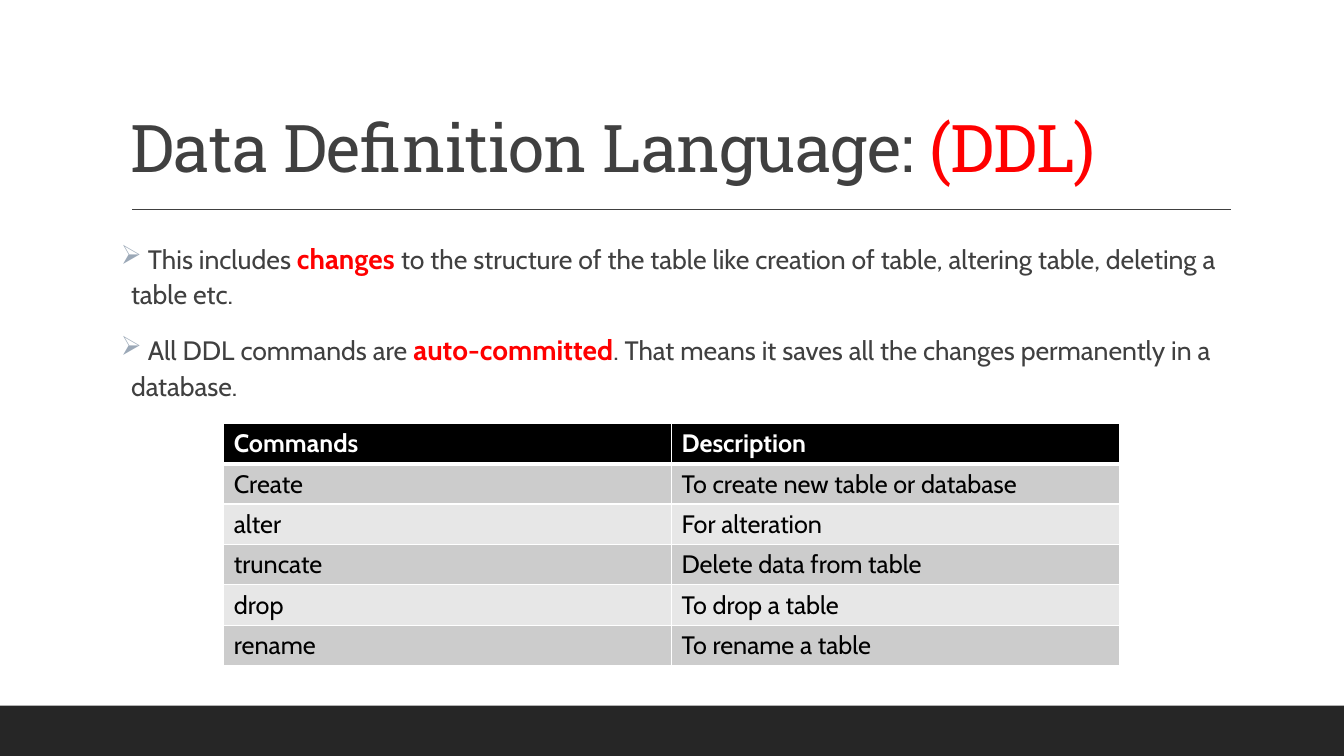
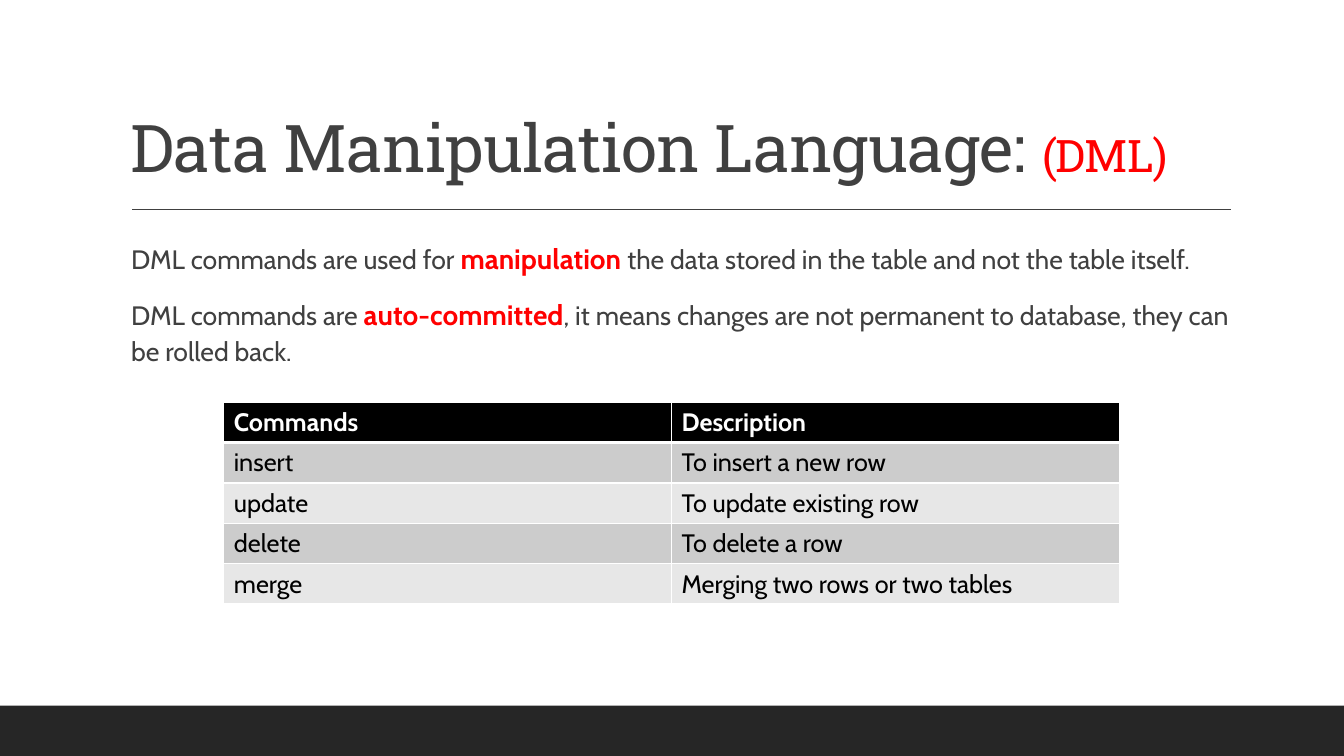
from dataclasses import dataclass

from lxml.etree import SubElement
from pptx import Presentation
from pptx.dml.color import RGBColor
from pptx.enum.shapes import MSO_CONNECTOR, MSO_SHAPE
from pptx.enum.text import MSO_ANCHOR
from pptx.oxml.ns import qn
from pptx.util import Inches, Pt

COLORS = {
    "band": "262626",
    "text": "404040",
    "accent": "FF0000",
    "bullet": "9BA8B7",
    "white": "FFFFFF",
    "black": "000000",
    "odd_row": "CCCCCC",
    "even_row": "E7E7E7",
}
TITLE_FONT, BODY_FONT = "Roboto Slab", "Cabin"
TITLE_SIZE, BODY_SIZE, ACCENT_SIZE, TABLE_SIZE = 47, 19, 20, 18
BOX_LEFT, BOX_WIDTH = 1.2, 11
TABLE_LEFT, COLUMN_WIDTH, ROW_HEIGHT = 2.22, 4.44, 0.4
HANGING = 0.1
HEADER = ("Commands", "Description")


@dataclass(frozen=True)
class Sentence:
    """A paragraph with one highlighted phrase."""
    before: str
    accent: str
    after: str


@dataclass(frozen=True)
class LanguageSlide:
    title: str
    acronym: str
    acronym_size: int
    bullet: str
    sentences: tuple[Sentence, ...]
    table_top: float
    commands: tuple[tuple[str, str], ...]


SLIDES = (
    LanguageSlide(
        "Data Definition Language: ", "(DDL)", TITLE_SIZE, "➢",
        (
            Sentence(" This includes ", "changes ",
                     "to the structure of the table like creation of table, "
                     "altering table, deleting a table etc."),
            Sentence(" All DDL commands are ", "auto-committed",
                     ". That means it saves all the changes permanently in a database."),
        ),
        4.2,
        (
            ("Create", "To create new table or database"),
            ("alter", "For alteration"),
            ("truncate", "Delete data from table"),
            ("drop", "To drop a table"),
            ("rename", "To rename a table"),
        ),
    ),
    LanguageSlide(
        "Data Manipulation Language: ", "(DML)", 32, "",
        (
            Sentence("DML commands are used for ", "manipulation",
                     " the data stored in the table and not the table itself."),
            Sentence("DML commands are ", "auto-committed",
                     ", it means changes are not permanent to database, "
                     "they can be rolled back."),
        ),
        3.99,
        (
            ("insert", "To insert a new row"),
            ("update", "To update existing row"),
            ("delete", "To delete a row"),
            ("merge", "Merging two rows or two tables"),
        ),
    ),
)


def rgb(name: str) -> RGBColor:
    return RGBColor.from_string(COLORS[name])


def add_color(parent, name: str) -> None:
    SubElement(parent, qn("a:srgbClr"), val=COLORS[name])


def add_run(p, text: str, font: str, size: int, color: str, bold: bool = False):
    r = p.add_run()
    r.text = text
    r.font.name = font
    r.font.size = Pt(size)
    r.font.color.rgb = rgb(color)
    r.font.bold = bold
    return r


def add_text_frame(s, top: float, height: float):
    sp = s.shapes.add_textbox(Inches(BOX_LEFT), Inches(top),
                              Inches(BOX_WIDTH), Inches(height))
    sp.text_frame.word_wrap = True
    return sp.text_frame


def add_frame(s, prs) -> None:
    """Bottom band and the rule under the title."""
    height = Inches(0.5)
    band = s.shapes.add_shape(MSO_SHAPE.RECTANGLE, 0, prs.slide_height - height,
                              prs.slide_width, height)
    band.shadow.inherit = False
    band.fill.solid()
    band.fill.fore_color.rgb = rgb("band")
    band.line.fill.background()

    rule = s.shapes.add_connector(MSO_CONNECTOR.STRAIGHT, Inches(1.31), Inches(2.08),
                                  Inches(12.21), Inches(2.08))
    rule.line.color.rgb = rgb("text")
    rule.line.width = Pt(1)
    SubElement(rule._element.spPr, qn("a:effectLst"))


def add_title(s, content: LanguageSlide) -> None:
    tf = add_text_frame(s, 0.31, 1.59)
    tf.vertical_anchor = MSO_ANCHOR.BOTTOM
    p = tf.paragraphs[0]
    p.line_spacing = 0.9
    for text, size, color in ((content.title, TITLE_SIZE, "text"),
                              (content.acronym, content.acronym_size, "accent")):
        r = add_run(p, text, TITLE_FONT, size, color)
        r.font._element.set("spc", "-50")


def set_bullet(p, bullet: str) -> None:
    pPr = p._p.get_or_add_pPr()
    pPr.set("marL", str(Inches(HANGING)))
    pPr.set("indent", str(-Inches(HANGING) if bullet else 0))
    if bullet:
        add_color(SubElement(pPr, qn("a:buClr")), "bullet")
        SubElement(pPr, qn("a:buChar"), char=bullet)
    else:
        SubElement(pPr, qn("a:buNone"))


def add_body(s, content: LanguageSlide) -> None:
    tf = add_text_frame(s, 2.31, 4.11)
    tf.margin_left = tf.margin_right = 0
    for i, sentence in enumerate(content.sentences):
        p = tf.add_paragraph() if i else tf.paragraphs[0]
        p.line_spacing = 1.1
        p.space_before, p.space_after = Pt(12), Pt(2)
        set_bullet(p, content.bullet)
        add_run(p, sentence.before, BODY_FONT, BODY_SIZE, "text")
        add_run(p, sentence.accent, BODY_FONT, ACCENT_SIZE, "accent", True)
        add_run(p, sentence.after, BODY_FONT, BODY_SIZE, "text")


def set_borders(cell, is_header: bool) -> None:
    # Below the header, each top edge is the bottom edge of the row above
    widths = {"L": 1, "R": 1}
    if is_header:
        widths["T"] = 1
    widths["B"] = 3 if is_header else 1
    tcPr = cell._tc.get_or_add_tcPr()
    for side, width in widths.items():
        ln = SubElement(tcPr, qn(f"a:ln{side}"), w=str(Pt(width)))
        add_color(SubElement(ln, qn("a:solidFill")), "white")


def add_command_table(s, content: LanguageSlide) -> None:
    rows = (HEADER, *content.commands)
    columns = len(HEADER)
    table = s.shapes.add_table(
        len(rows), columns, Inches(TABLE_LEFT), Inches(content.table_top),
        Inches(COLUMN_WIDTH * columns), Inches(ROW_HEIGHT * len(rows))).table
    for i, row in enumerate(rows):
        is_header = i == 0
        fill = "black" if is_header else "odd_row" if i % 2 else "even_row"
        for j, text in enumerate(row):
            cell = table.cell(i, j)
            set_borders(cell, is_header)
            cell.fill.solid()
            cell.fill.fore_color.rgb = rgb(fill)
            add_run(cell.text_frame.paragraphs[0], text, BODY_FONT, TABLE_SIZE,
                    "white" if is_header else "black", is_header)


def main() -> None:
    prs = Presentation()
    prs.slide_width, prs.slide_height = Inches(13.33), Inches(7.5)
    for content in SLIDES:
        s = prs.slides.add_slide(prs.slide_layouts[6])
        add_frame(s, prs)
        add_title(s, content)
        add_body(s, content)
        add_command_table(s, content)
    prs.save("out.pptx")


if __name__ == "__main__":
    main()
